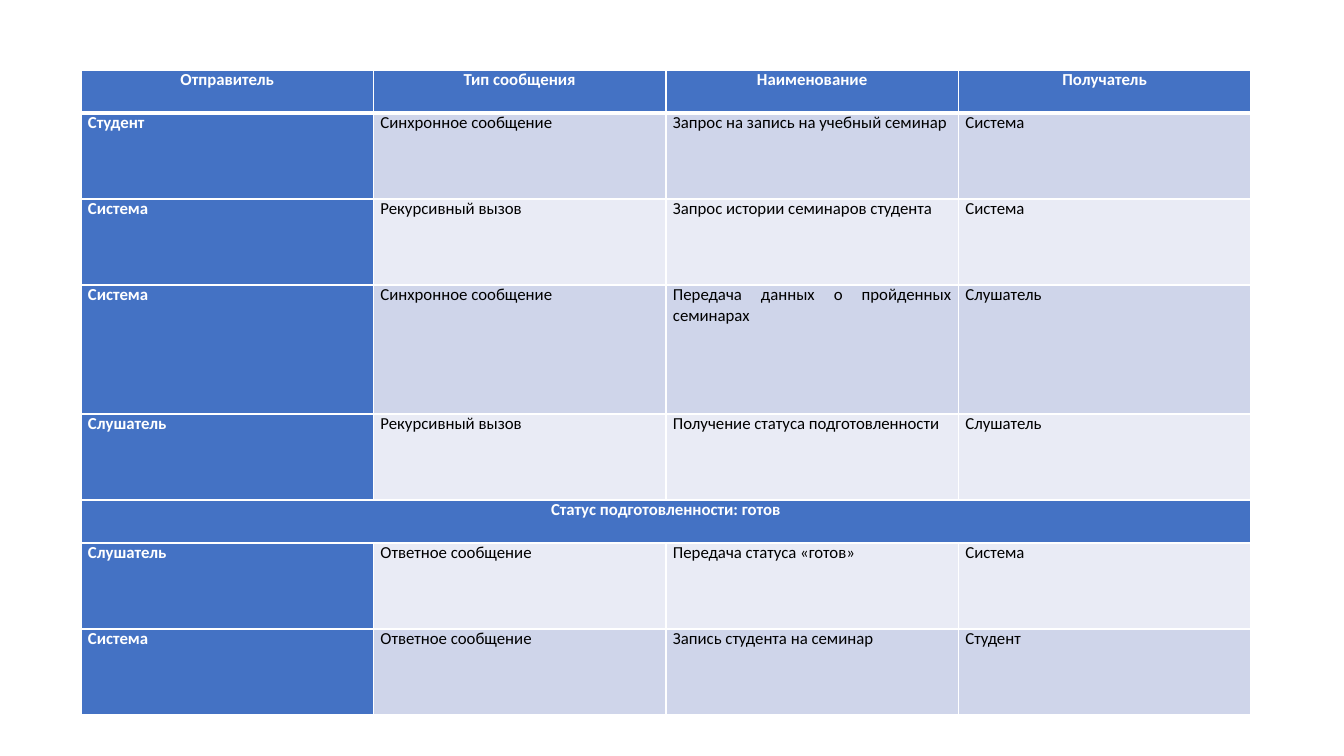
from dataclasses import dataclass

from lxml import etree
from pptx import Presentation
from pptx.dml.color import RGBColor
from pptx.enum.text import MSO_ANCHOR, PP_ALIGN
from pptx.oxml.ns import qn
from pptx.util import Pt

HEADER = ("Отправитель", "Тип сообщения", "Наименование", "Получатель")
BEFORE_STATUS = [
    ("Студент", "Синхронное сообщение", "Запрос на запись на учебный семинар", "Система"),
    ("Система", "Рекурсивный вызов", "Запрос истории семинаров студента", "Система"),
    ("Система", "Синхронное сообщение", "Передача данных о пройденных семинарах", "Слушатель"),
    ("Слушатель", "Рекурсивный вызов", "Получение статуса подготовленности", "Слушатель"),
]
STATUS = ("Статус подготовленности: готов",)
AFTER_STATUS = [
    ("Слушатель", "Ответное сообщение", "Передача статуса «готов»", "Система"),
    ("Система", "Ответное сообщение", "Запись студента на семинар", "Студент"),
]
MESSAGES = [HEADER, *BEFORE_STATUS, STATUS, *AFTER_STATUS]
LINES_PER_ROW = (1, 2, 2, 3, 2, 1, 2, 2)

PX = 914400 / 100.8
SLIDE_W, SLIDE_H = 1344, 756
LEFT, TOP, WIDTH = 81, 70, 1170
LINE_H = 43
SIDE_INSET = 7

CENTER, JUSTIFY = PP_ALIGN.CENTER, PP_ALIGN.JUSTIFY
ANCHOR_TOP = MSO_ANCHOR.TOP


@dataclass(frozen=True)
class Theme:
    font: str = "Calibri"
    size: int = 12
    accent: str = "4472C4"
    bands: tuple = ("E9EBF5", "CFD5EA")
    text: str = "000000"
    accent_text: str = "FFFFFF"
    border: str = "FFFFFF"
    thin: int = 1
    thick: int = 3


THEME = Theme()


def emu(px):
    return round(px * PX)


def set_borders(cell, widths):
    properties = cell._tc.get_or_add_tcPr()
    for position, (side, width) in enumerate(widths.items()):
        line = etree.Element(qn(f"a:ln{side}"), w=str(Pt(width)))
        fill = etree.SubElement(line, qn("a:solidFill"))
        etree.SubElement(fill, qn("a:srgbClr"), val=THEME.border)
        properties.insert(position, line)


def style_cell(cell, row, column):
    accented = column == 0 or len(MESSAGES[row]) == 1 or row == 0
    cell.fill.solid()
    cell.fill.fore_color.rgb = RGBColor.from_string(
        THEME.accent if accented else THEME.bands[row % 2])
    cell.margin_left = cell.margin_right = emu(SIDE_INSET)
    cell.margin_top = cell.margin_bottom = 0
    cell.vertical_anchor = ANCHOR_TOP
    set_borders(cell, {
        "L": THEME.thin,
        "R": THEME.thin,
        "T": THEME.thick if row == 1 else THEME.thin,
        "B": THEME.thick if row == 0 else THEME.thin,
    })
    return accented


def write(cell, words, accented, alignment):
    paragraph = cell.text_frame.paragraphs[0]
    paragraph.alignment = alignment
    run = paragraph.add_run()
    run.text = words
    run.font.name = THEME.font
    run.font.size = Pt(THEME.size)
    run.font.bold = accented
    run.font.color.rgb = RGBColor.from_string(
        THEME.accent_text if accented else THEME.text)


def add_messages(slide):
    columns = len(HEADER)
    table = slide.shapes.add_table(
        len(MESSAGES), columns, emu(LEFT), emu(TOP),
        emu(WIDTH), emu(LINE_H * sum(LINES_PER_ROW))).table
    for column in table.columns:
        column.width = emu(WIDTH / columns)
    for row, (message, lines) in enumerate(zip(MESSAGES, LINES_PER_ROW)):
        table.rows[row].height = emu(LINE_H * lines)
        spans_row = len(message) == 1
        if spans_row:
            table.cell(row, 0).merge(table.cell(row, columns - 1))
        alignment = CENTER if row == 0 or spans_row else JUSTIFY
        for column in range(columns):
            cell = table.cell(row, column)
            accented = style_cell(cell, row, column)
            if column < len(message):
                write(cell, message[column], accented, alignment)


def main():
    deck = Presentation()
    deck.slide_width, deck.slide_height = emu(SLIDE_W), emu(SLIDE_H)
    slide = deck.slides.add_slide(deck.slide_layouts[6])
    add_messages(slide)
    deck.save("out.pptx")


if __name__ == "__main__":
    main()
